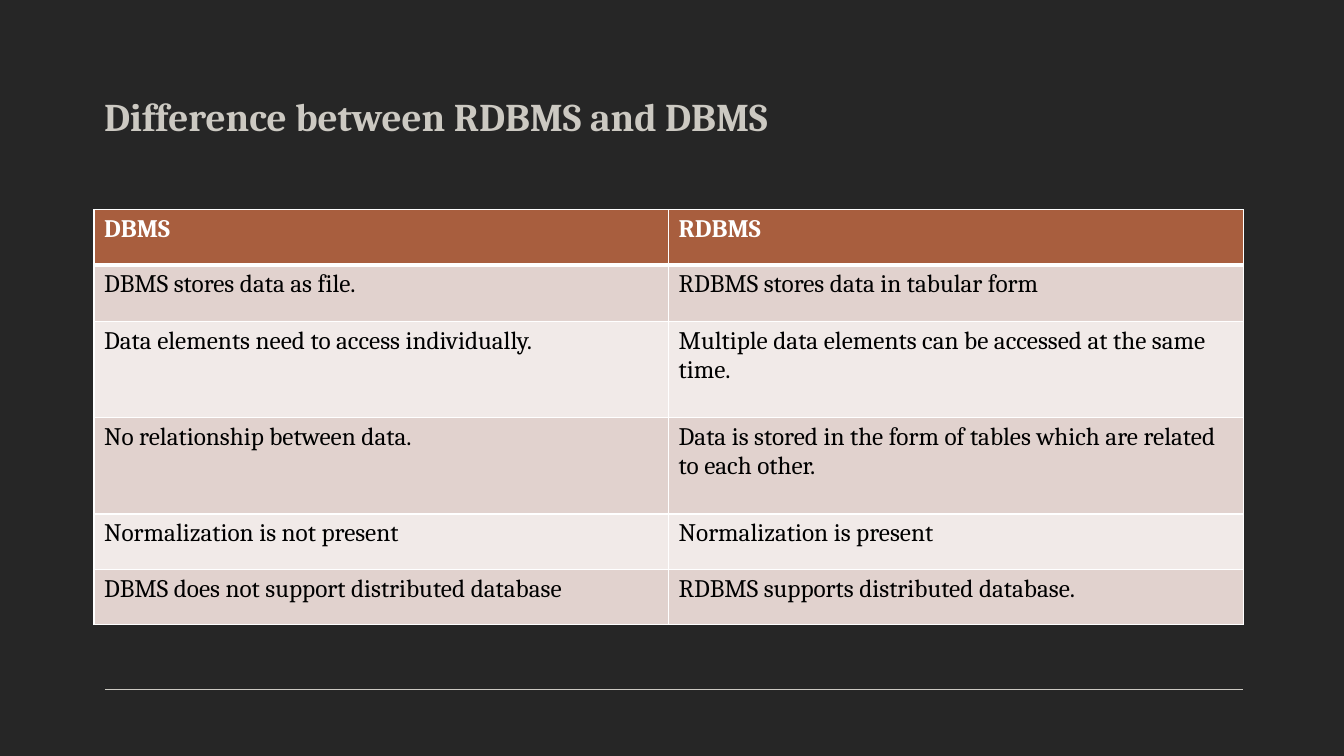
import pptx
import pptx.util
import pptx.dml.color
import pptx.enum.shapes
import pptx.enum.text
import pptx.oxml
import pptx.oxml.ns

RGB = pptx.dml.color.RGBColor
DARK = RGB(0x26, 0x26, 0x26)
SAND = RGB(0xCC, 0xC9, 0xC2)
RUST = RGB(0xA8, 0x5E, 0x3E)
ROSE = RGB(0xE1, 0xD2, 0xCE)
PALE = RGB(0xF1, 0xEA, 0xE8)
WHITE = RGB(0xFF, 0xFF, 0xFF)
BLACK = RGB(0, 0, 0)

ROWS = [
    ("DBMS", "RDBMS"),
    ("DBMS stores data as file.", "RDBMS stores data in tabular form"),
    ("Data elements need to access individually.",
     "Multiple data elements can be accessed at the same time."),
    ("No relationship between data.",
     "Data is stored in the form of tables which are related to each other."),
    ("Normalization is not present", "Normalization is present"),
    ("DBMS does not support distributed database",
     "RDBMS supports distributed database."),
]
HIGHS = [7.33, 7.47, 12.67, 12.8, 7.33, 7.33]


class Page:
    """Style and current slide; lengths are percent of the slide's size."""
    font = "Cambria"

    def __init__(self, deck):
        self.deck = deck
        self.slide = deck.slides.add_slide(deck.slide_layouts[6])
        fill = self.slide.background.fill
        fill.solid()
        fill.fore_color.rgb = DARK

    def wide(self, share):
        return round(self.deck.slide_width * share / 100)

    def high(self, share):
        return round(self.deck.slide_height * share / 100)

    def box(self, left, top, width, height):
        return (self.wide(left), self.high(top),
                self.wide(width), self.high(height))

    def label(self, frame, text, size, color, bold):
        frame.text = text
        font = frame.paragraphs[0].runs[0].font
        font.name, font.size, font.bold = self.font, pptx.util.Pt(size), bold
        font.color.rgb = color

    def title(self, text, *place):
        frame = self.slide.shapes.add_textbox(*self.box(*place)).text_frame
        frame.word_wrap = True
        frame.vertical_anchor = pptx.enum.text.MSO_ANCHOR.TOP
        frame.margin_top = 0
        self.label(frame, text, 28, SAND, True)
        frame.paragraphs[0].line_spacing = 0.93

    def rule(self, left, right, top):
        line = self.slide.shapes.add_connector(
            pptx.enum.shapes.MSO_CONNECTOR.STRAIGHT,
            self.wide(left), self.high(top), self.wide(right), self.high(top))
        line.line.color.rgb = SAND
        line.line.width = pptx.util.Pt(0.85)
        line._element.spPr.append(pptx.oxml.parse_xml(
            "<a:effectLst %s/>" % pptx.oxml.ns.nsdecls("a")))

    def edge(self, cell, side, width):
        cell._tc.get_or_add_tcPr().append(pptx.oxml.parse_xml(
            '<a:ln%s %s w="%d"><a:solidFill><a:srgbClr val="%s"/>'
            "</a:solidFill></a:ln%s>" % (
                side, pptx.oxml.ns.nsdecls("a"), pptx.util.Pt(width),
                WHITE, side)))

    def table(self, rows, highs, left, top, width):
        grid = self.slide.shapes.add_table(
            len(rows), len(rows[0]),
            *self.box(left, top, width, sum(highs))).table
        grid.horz_banding = False
        for r, texts in enumerate(rows):
            grid.rows[r].height = self.high(highs[r])
            head = r == 0
            back = RUST if head else (PALE, ROSE)[r % 2]
            # Thick rule between the header and the first data row
            edges = {"L": 1, "R": 1, "T": 3 if r == 1 else 1,
                     "B": 3 if head else 1}
            for c, text in enumerate(texts):
                cell = grid.cell(r, c)
                for side, thick in edges.items():
                    self.edge(cell, side, thick)
                cell.fill.solid()
                cell.fill.fore_color.rgb = back
                self.label(cell.text_frame, text, 18,
                           WHITE if head else BLACK, head)


deck = pptx.Presentation()
deck.slide_width = pptx.util.Inches(13.33)
deck.slide_height = pptx.util.Inches(7.5)
page = Page(deck)

# Footer rule
page.rule(7.8, 92.5, 91.2)
# Heading
page.title("Difference between RDBMS and DBMS", 7, 12.8, 85.5, 15.87)
# Comparison
page.table(ROWS, HIGHS, 7, 27.73, 85.5)

deck.save("out.pptx")
